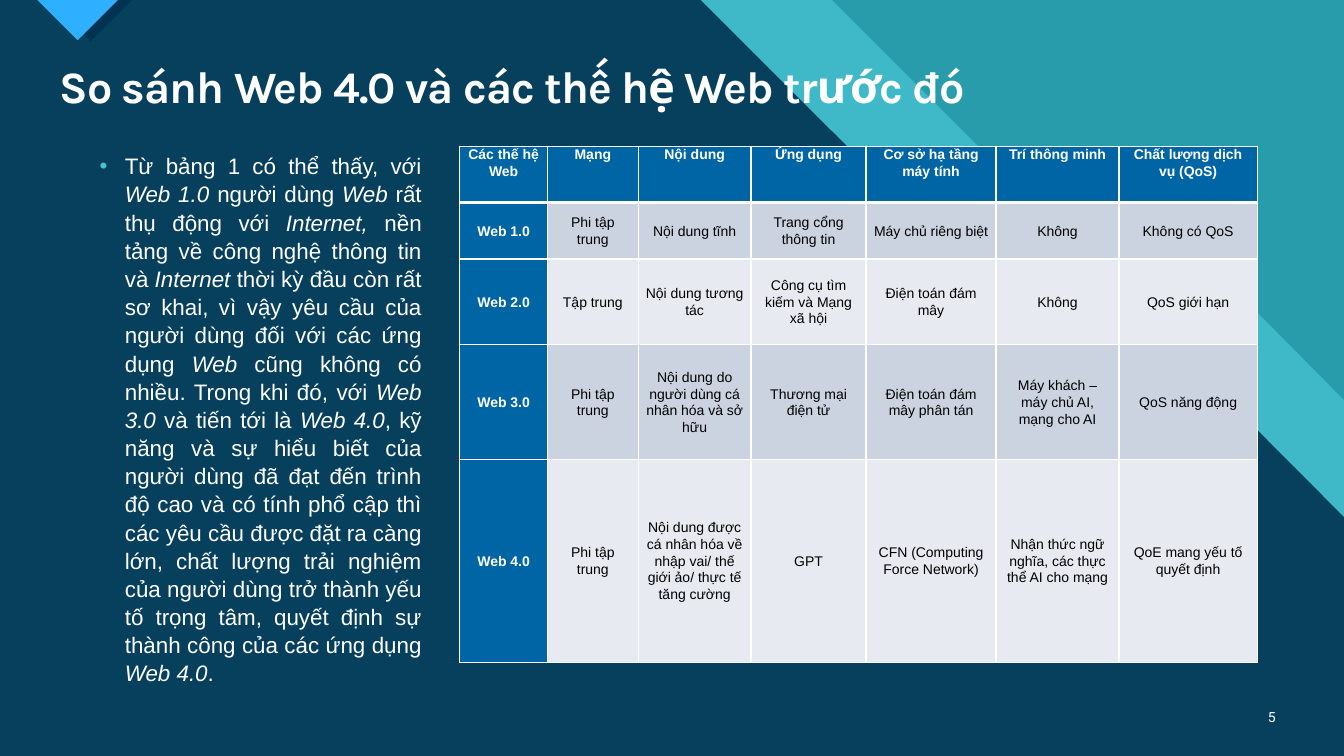
from dataclasses import dataclass

from lxml import etree
from pptx import Presentation
from pptx import util as u
from pptx.dml.color import RGBColor
from pptx.enum import text as t
from pptx.oxml import ns

# Content
TITLE = "So sánh Web 4.0 và các thế hệ Web trước đó"
PAGE_NUMBER = "5"
# Asterisks enclose italic words
COMMENTARY = (
    "Từ bảng 1 có thể thấy, với *Web 1.0 *người dùng *Web *rất thụ động với "
    "*Internet, *nền tảng về công nghệ thông tin và *Internet *thời kỳ đầu còn "
    "rất sơ khai, vì vậy yêu cầu của người dùng đối với các ứng dụng *Web *cũng "
    "không có nhiều. Trong khi đó, với *Web 3.0 *và tiến tới là *Web 4.0*, kỹ năng "
    "và sự hiểu biết của người dùng đã đạt đến trình độ cao và có tính phổ cập thì "
    "các yêu cầu được đặt ra càng lớn, chất lượng trải nghiệm của người dùng trở "
    "thành yếu tố trọng tâm, quyết định sự thành công của các ứng dụng *Web 4.0*."
)
GENERATIONS = [
    ["Các thế hệ Web", "Mạng", "Nội dung", "Ứng dụng", "Cơ sở hạ tầng máy tính",
     "Trí thông minh", "Chất lượng dịch vụ (QoS)"],
    ["Web 1.0", "Phi tập trung", "Nội dung tĩnh", "Trang cổng thông tin",
     "Máy chủ riêng biệt", "Không", "Không có QoS"],
    ["Web 2.0", "Tập trung", "Nội dung tương tác",
     "Công cụ tìm kiếm và Mạng xã hội", "Điện toán đám mây", "Không",
     "QoS giới hạn"],
    ["Web 3.0", "Phi tập trung", "Nội dung do người dùng cá nhân hóa và sở hữu",
     "Thương mại điện tử", "Điện toán đám mây phân tán",
     "Máy khách – máy chủ AI, mạng cho AI", "QoS năng động"],
    ["Web 4.0", "Phi tập trung",
     "Nội dung được cá nhân hóa về nhập vai/ thế giới ảo/ thực tế tăng cường",
     "GPT", "CFN (Computing Force Network)",
     "Nhận thức ngữ nghĩa, các thực thể AI cho mạng",
     "QoE mang yếu tố quyết định"],
]


@dataclass(frozen=True)
class Theme:
    teal: str = "299CAB"
    aqua: str = "47C3D3"
    navy: str = "003352"
    sky: str = "2FAFFF"
    blue: str = "0065A4"
    bands: tuple = ("E7EAF0", "CCD3E0")
    white: str = "FFFFFF"
    black: str = "000000"
    title_font: str = "Karla"
    body_font: str = "Arial"
    number_font: str = "Roboto"
    title_size: int = 32
    body_size: int = 16
    small_size: int = 10


THEME = Theme()

# Layout, in inches
WIDTH, HEIGHT = 13.33, 7.5
TOP, PANEL_HEIGHT = 1.45, 5.13
TABLE_LEFT = 4.56
COLUMNS = [0.87, 0.9, 1.12, 1.14, 1.29, 1.22, 1.37]
ROWS = [0.56, 0.56, 0.85, 1.14, 2.01]

# Background outlines: points, colour, opacity in percent
OUTLINES = [
    ([(0, 0), (8.25, 0), (11.22, 2.97), (12.34, 2.97), (WIDTH, 3.97),
      (WIDTH, HEIGHT), (0, HEIGHT)], THEME.aqua, 74),
    ([(0, 0), (6.95, 0), (9.92, 2.97), (11.18, 2.97), (WIDTH, 5.13),
      (WIDTH, HEIGHT), (0, HEIGHT)], THEME.navy, 90),
    ([(0.48, 0), (1.31, 0), (0.9, 0.41)], THEME.navy, 100),
    ([(0.37, 0), (1.17, 0), (0.77, 0.4)], THEME.sky, 100),
]


def paint(fill, color):
    fill.solid()
    fill.fore_color.rgb = RGBColor.from_string(color)


def style(font, name, size, color, bold=False):
    font.name, font.size, font.bold = name, u.Pt(size), bold
    font.color.rgb = RGBColor.from_string(color)


def draw_outline(page, points, color, opacity):
    corners = [(u.Inches(x), u.Inches(y)) for x, y in points]
    builder = page.shapes.build_freeform(*corners[0])
    builder.add_line_segments(corners[1:], close=True)
    shape = builder.convert_to_shape()
    shape.shadow.inherit = False
    shape.line.fill.background()
    paint(shape.fill, color)
    if opacity < 100:
        tint = shape.fill._xPr.find(".//" + ns.qn("a:srgbClr"))
        etree.SubElement(tint, ns.qn("a:alpha"), val=str(opacity * 1000))


def add_text_box(page, left, top, width, height):
    box = page.shapes.add_textbox(*map(u.Inches, (left, top, width, height)))
    box.text_frame.word_wrap = True
    return box.text_frame


def add_title(page):
    title = page.shapes.title
    title.left, title.top = u.Inches(0.49), u.Inches(0.59)
    title.width, title.height = u.Inches(12.26), u.Inches(0.59)
    frame = title.text_frame
    frame.text = TITLE
    frame.word_wrap = True
    frame.auto_size = t.MSO_AUTO_SIZE.SHAPE_TO_FIT_TEXT
    frame.vertical_anchor = t.MSO_ANCHOR.TOP
    para = frame.paragraphs[0]
    para.alignment, para.line_spacing = t.PP_ALIGN.LEFT, 0.9
    style(para.font, THEME.title_font, THEME.title_size, THEME.white, True)
    span = para.runs[0]
    style(span.font, THEME.title_font, THEME.title_size, THEME.white, True)
    span.font._element.set("spc", "-70")


def add_commentary(page):
    para = add_text_box(page, 0.89, TOP, 3.39, PANEL_HEIGHT).paragraphs[0]
    para.alignment, para.line_spacing = t.PP_ALIGN.JUSTIFY, 1.05
    para.space_after = u.Pt(4)
    # Bullet with a hanging indent
    props = para._p.get_or_add_pPr()
    props.set("marL", str(u.Inches(0.25)))
    props.set("indent", str(-u.Inches(0.25)))
    color = etree.SubElement(props, ns.qn("a:buClr"))
    etree.SubElement(color, ns.qn("a:srgbClr"), val=THEME.aqua)
    etree.SubElement(props, ns.qn("a:buFont"), typeface=THEME.body_font)
    etree.SubElement(props, ns.qn("a:buChar"), char="•")
    for index, words in enumerate(COMMENTARY.split("*")):
        span = para.add_run()
        span.text = words
        style(span.font, THEME.body_font, THEME.body_size, THEME.white)
        span.font.italic = index % 2 == 1


def add_borders(cell, **widths):
    props = cell._tc.get_or_add_tcPr()
    for index, (side, points) in enumerate(widths.items()):
        line = etree.Element(ns.qn("a:ln" + side), w=str(u.Pt(points)))
        fill = etree.SubElement(line, ns.qn("a:solidFill"))
        etree.SubElement(fill, ns.qn("a:srgbClr"), val=THEME.white)
        props.insert(index, line)


def fill_cell(cell, words, row, column):
    heading = row == 0 or column == 0
    paint(cell.fill, THEME.blue if heading else THEME.bands[row % 2])
    add_borders(cell, L=1, R=1, T=3 if row == 1 else 1, B=3 if row == 0 else 1)
    cell.margin_left = cell.margin_right = u.Inches(0.07)
    cell.margin_top = cell.margin_bottom = 0
    cell.vertical_anchor = t.MSO_ANCHOR.MIDDLE if row else t.MSO_ANCHOR.TOP
    cell.text = words
    para = cell.text_frame.paragraphs[0]
    para.alignment, para.line_spacing = t.PP_ALIGN.CENTER, 1.07
    para.space_after = u.Pt(6)
    color = THEME.white if heading else THEME.black
    for font in (para.font, para.runs[0].font):
        style(font, THEME.body_font, THEME.small_size, color, heading)


def add_generations(page):
    frame = page.shapes.add_table(
        len(ROWS), len(COLUMNS), u.Inches(TABLE_LEFT), u.Inches(TOP),
        u.Inches(sum(COLUMNS)), u.Inches(sum(ROWS)))
    table = frame.table
    for column, width in zip(table.columns, COLUMNS):
        column.width = u.Inches(width)
    for row, height in zip(table.rows, ROWS):
        row.height = u.Inches(height)
    for row, entries in enumerate(GENERATIONS):
        for column, words in enumerate(entries):
            fill_cell(table.cell(row, column), words, row, column)


def add_page_number(page):
    frame = add_text_box(page, 12.31, 6.91, 0.44, 0.4)
    frame.vertical_anchor = t.MSO_ANCHOR.MIDDLE
    para = frame.paragraphs[0]
    para.text, para.alignment = PAGE_NUMBER, t.PP_ALIGN.RIGHT
    for font in (para.font, para.runs[0].font):
        style(font, THEME.number_font, THEME.small_size, THEME.white)


def main():
    deck = Presentation()
    deck.slide_width, deck.slide_height = u.Inches(WIDTH), u.Inches(HEIGHT)
    page = deck.slides.add_slide(deck.slide_layouts[5])
    paint(page.background.fill, THEME.teal)
    for points, color, opacity in OUTLINES:
        draw_outline(page, points, color, opacity)
    # Bring the title in front of the background outlines
    page.shapes._spTree.append(page.shapes.title._element)
    add_title(page)
    add_page_number(page)
    add_generations(page)
    add_commentary(page)
    deck.save("out.pptx")


if __name__ == "__main__":
    main()
